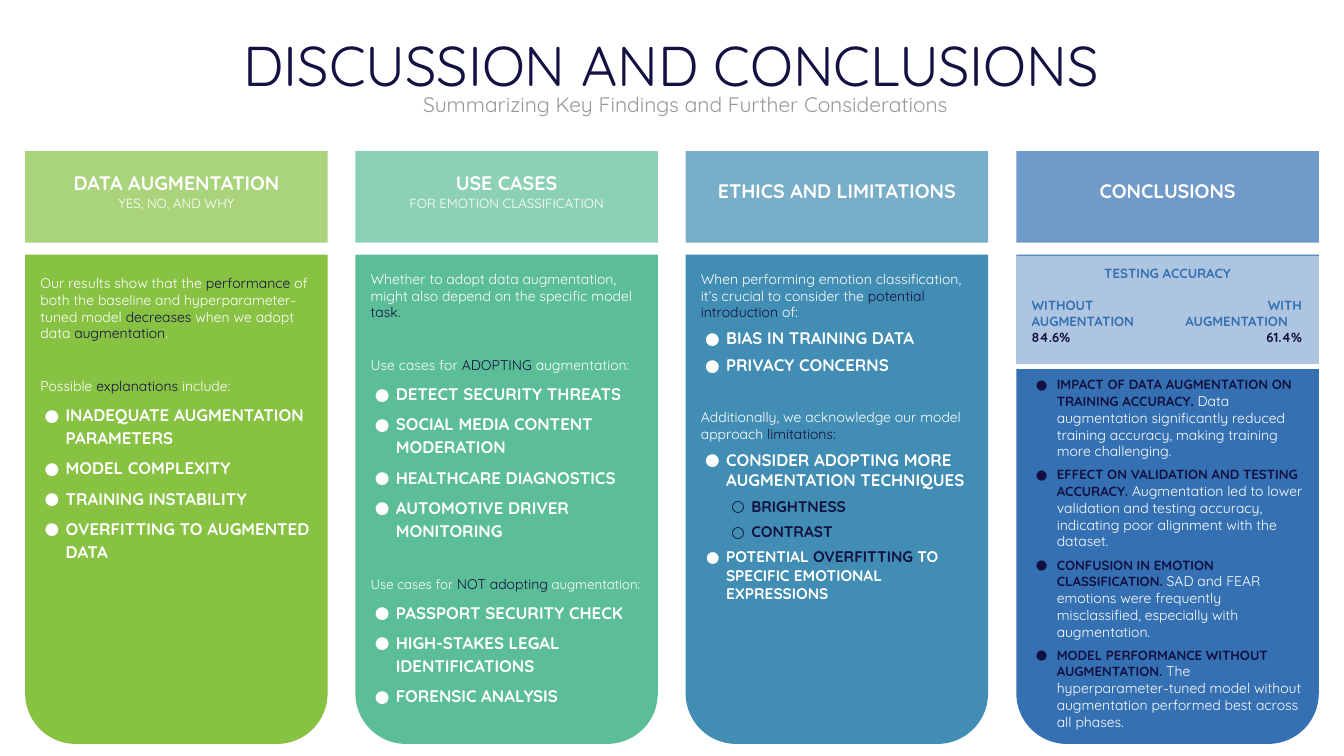
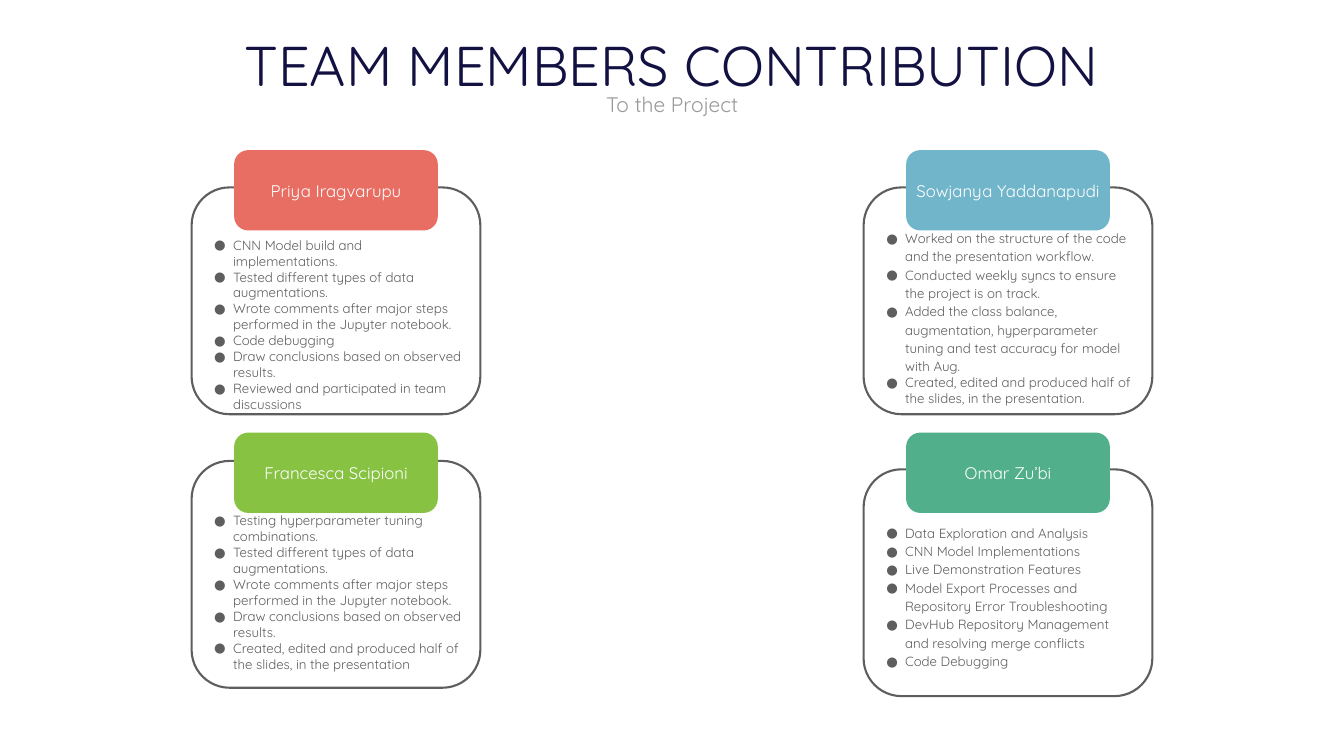
from lxml.etree import SubElement
from pptx import Presentation
from pptx.dml.color import RGBColor
from pptx.enum.shapes import MSO_CONNECTOR, MSO_SHAPE
from pptx.enum.text import MSO_ANCHOR, PP_ALIGN
from pptx.oxml.ns import qn
from pptx.util import Pt

PX = 9525
FONT = "Quicksand"
INK = {
    "navy": "121142", "gray": "999999", "slate": "5E5E5E", "white": "FFFFFF",
    "lime": "87C243", "mint": "5CBE97", "teal": "418DB3", "blue": "3470B2",
    "coral": "E86D62", "sky": "70B5CA", "green": "51B08B",
}
BASE = {"size": 20, "ink": "white", "bold": False, "alt": {"ink": "navy"},
        "lead": 1.0, "gap": 0, "align": PP_ALIGN.LEFT,
        "mark": None, "left": 48, "hang": 40, "dot": "white", "tab": 0}
MID = {"align": PP_ALIGN.CENTER}
CAPS = {"size": 24, "bold": True, "gap": 10, "mark": "●"}
SUB = {"size": 22, "bold": True, "gap": 10, "ink": "navy", "mark": "○",
       "left": 96, "hang": 38, "dot": "navy"}
RATE = {"size": 19, "bold": True, "ink": "blue"}
TASK = {"size": 19, "ink": "slate", "mark": "●", "hang": 36, "dot": "slate"}
STYLES = {
    "title": {**MID, "size": 80, "ink": "navy"},
    "tag": {**MID, "size": 30, "ink": "gray"},
    "head": {**MID, "size": 28, "bold": True},
    "small": {**MID, "size": 19},
    "name": {**MID, "size": 24},
    "intro": {},
    "turn": {"gap": 48},
    "wide": {"gap": 48, "lead": 1.15},
    "note": {"gap": 46, "lead": 1.15, "size": 19,
             "alt": {"ink": "navy", "size": 20}},
    "caps": {**CAPS, "lead": 1.15},
    "point": CAPS,
    "sub": SUB,
    "last": {**CAPS, "size": 22, "hang": 38},
    "find": {"gap": 10, "mark": "●", "dot": "navy",
             "alt": {"ink": "navy", "size": 19, "bold": True}},
    "rate": {**RATE, **MID},
    "pair": {**RATE, "gap": 23, "tab": 515},
    "pair2": {**RATE, "tab": 488},
    "value": {**RATE, "ink": "navy", "tab": 515},
    "task": TASK,
    "step": {**TASK, "lead": 1.15},
}


def block(slide, kind, box, fill=None, alpha=100, line=None, adjust=()):
    """Add a preset shape, or a text box when kind is None."""
    box = [n * PX for n in box]
    if kind is None:
        return slide.shapes.add_textbox(*box)
    shape = slide.shapes.add_shape(kind, *box)
    shape.shadow.inherit = False
    for i, size in enumerate(adjust):
        shape.adjustments[i] = size
    if fill:
        shape.fill.solid()
        shape.fill.fore_color.rgb = RGBColor.from_string(INK[fill])
        if alpha < 100:
            tint = shape.fill._xPr.find(".//" + qn("a:srgbClr"))
            SubElement(tint, qn("a:alpha"), val=str(alpha * 1000))
    else:
        shape.fill.background()
    if line:
        shape.line.color.rgb = RGBColor.from_string(INK[line])
        shape.line.width = Pt(3)
    else:
        shape.line.fill.background()
    return shape


def write(shape, paras, pad=(10, 10, 10, 10), anchor=MSO_ANCHOR.TOP):
    """Fill a shape with (style, text) pairs; bars enclose accented words."""
    frame = shape.text_frame
    look = {"word_wrap": True, "vertical_anchor": anchor}
    for side, size in zip(("left", "top", "right", "bottom"), pad):
        look["margin_" + side] = size * PX
    for key, val in look.items():
        setattr(frame, key, val)
    for n, (name, text) in enumerate(paras):
        style = {**BASE, **STYLES[name]}
        para = frame.add_paragraph() if n else frame.paragraphs[0]
        props = para._p.get_or_add_pPr()
        if style["mark"]:
            props.set("marL", str(style["left"] * PX))
            props.set("indent", str(-style["hang"] * PX))
            tone = SubElement(props, qn("a:buClr"))
            SubElement(tone, qn("a:srgbClr"), val=INK[style["dot"]])
            SubElement(props, qn("a:buFont"), typeface=FONT)
            SubElement(props, qn("a:buChar"), char=style["mark"])
        if style["tab"]:
            tabs = SubElement(props, qn("a:tabLst"))
            SubElement(tabs, qn("a:tab"), pos=str(style["tab"] * PX), algn="r")
        look = {"alignment": style["align"], "line_spacing": style["lead"],
                "space_before": Pt(style["gap"] if n else 0)}
        for key, val in look.items():
            setattr(para, key, val)
        for i, part in enumerate(text.split("|")):
            if not part:
                continue
            tone = {**style, **style["alt"]} if i % 2 else style
            run = para.add_run()
            run.text = part
            look = {"name": FONT, "size": Pt(tone["size"]), "bold": tone["bold"]}
            for key, val in look.items():
                setattr(run.font, key, val)
            run.font.color.rgb = RGBColor.from_string(INK[tone["ink"]])


deck = Presentation()
deck.slide_width, deck.slide_height = 2560 * PX, 1440 * PX

pages = []
for title, tag, left, wide in [
    ("DISCUSSION AND CONCLUSIONS",
     "Summarizing Key Findings and Further Considerations", 689, 1233),
    ("TEAM MEMBERS CONTRIBUTION", "To the Project", 820, 921),
]:
    page = deck.slides.add_slide(deck.slide_layouts[6])
    write(block(page, None, (98, 48, 2362, 149)), [("title", title)])
    write(block(page, None, (left, 164, wide, 68)), [("tag", tag)])
    pages.append(page)
talk, team = pages

# Discussion: four columns, each a header above a rounded body
columns = [
    ("lime", 494, 29, [("head", "DATA AUGMENTATION"), ("small", "YES, NO, AND WHY")], [
        ("intro", "Our results show that the |performance| of both the baseline and "
                  "hyperparameter-tuned model |decreases| when we adopt data "
                  "|augmentation|."),
        ("wide", "Possible |explanations| include:"),
        ("caps", "INADEQUATE AUGMENTATION PARAMETERS"),
        ("caps", "MODEL COMPLEXITY"),
        ("caps", "TRAINING INSTABILITY"),
        ("caps", "OVERFITTING TO AUGMENTED DATA"),
    ]),
    ("mint", 486, 29, [("head", "USE CASES"), ("small", "FOR EMOTION CLASSIFICATION")], [
        ("intro", "Whether to adopt data augmentation, might also depend on the "
                  "specific model |task.|"),
        ("wide", "Use cases for |ADOPTING| augmentation:"),
        ("caps", "DETECT SECURITY THREATS"),
        ("caps", "SOCIAL MEDIA CONTENT MODERATION"),
        ("caps", "HEALTHCARE DIAGNOSTICS"),
        ("caps", "AUTOMOTIVE DRIVER MONITORING"),
        ("note", "Use cases for |NOT adopting| augmentation:"),
        ("caps", "PASSPORT SECURITY CHECK"),
        ("caps", "HIGH-STAKES LEGAL IDENTIFICATIONS"),
        ("caps", "FORENSIC ANALYSIS"),
    ]),
    ("teal", 486, 29, [("head", "ETHICS AND LIMITATIONS")], [
        ("intro", "When performing emotion classification, it’s crucial to consider "
                  "the |potential introduction| of:"),
        ("point", "BIAS IN TRAINING DATA"),
        ("point", "PRIVACY CONCERNS"),
        ("turn", "Additionally, we acknowledge our model approach |limitations:|"),
        ("point", "CONSIDER ADOPTING MORE AUGMENTATION TECHNIQUES"),
        ("sub", "BRIGHTNESS"),
        ("sub", "CONTRAST"),
        ("last", "POTENTIAL |OVERFITTING| TO SPECIFIC EMOTIONAL EXPRESSIONS"),
    ]),
    ("blue", 698, 19, [("head", "CONCLUSIONS")], [
        ("find", "|IMPACT OF DATA AUGMENTATION ON TRAINING ACCURACY. |Data "
                 "augmentation significantly reduced training accuracy, making "
                 "training more challenging."),
        ("find", "|EFFECT ON VALIDATION AND TESTING ACCURACY. |Augmentation led to "
                 "lower validation and testing accuracy, indicating poor alignment "
                 "with the dataset."),
        ("find", "|CONFUSION IN EMOTION CLASSIFICATION. |SAD and FEAR emotions were "
                 "frequently misclassified, especially with augmentation."),
        ("find", "|MODEL PERFORMANCE WITHOUT AUGMENTATION. |The "
                 "hyperparameter-tuned model without augmentation performed best "
                 "across all phases."),
    ]),
]
for i, (ink, top, pad, head, body) in enumerate(columns):
    x = 48 + 1888 * i // 3
    cap = block(talk, MSO_SHAPE.RECTANGLE, (x, 288, 576, 174), ink, 70)
    write(cap, head, (10, 10, 10, 32), MSO_ANCHOR.MIDDLE)
    block(talk, MSO_SHAPE.ROUND_2_SAME_RECTANGLE, (x, 485, 576, 932), ink,
          adjust=(0, 0.167))
    write(block(talk, None, (x, top, 576, 1407 - top)), body, (29, pad, 29, 10))

score = block(talk, MSO_SHAPE.RECTANGLE, (1936, 487, 576, 213), "white", 60)
write(score, [
    ("rate", "TESTING ACCURACY"),
    ("pair", "WITHOUT\tWITH"),
    ("pair2", "AUGMENTATION\tAUGMENTATION"),
    ("value", "84.6%\t61.4%"),
], (29, 19, 29, 10))
rule = talk.shapes.add_connector(MSO_CONNECTOR.STRAIGHT, 1922 * PX, 698 * PX,
                                 2543 * PX, 698 * PX)
rule.line.color.rgb = RGBColor.from_string(INK["white"])
rule.line.width = Pt(6)
SubElement(rule._element.spPr, qn("a:effectLst"))

# Team: an outlined card under a coloured name tab for each member
cards = [
    ("Priya Iragvarupu", "coral", 365, 288, 357, 73, [
        ("task", "CNN Model build and implementations."),
        ("task", "Tested different types of data augmentations."),
        ("task", "Wrote comments after major steps performed in the Jupyter notebook."),
        ("task", "Code debugging"),
        ("task", "Draw conclusions based on observed results."),
        ("task", "Reviewed and participated in team discussions"),
    ]),
    ("Francesca Scipioni", "lime", 365, 826, 878, 77, [
        ("task", "Testing hyperparameter tuning combinations."),
        ("task", "Tested different types of data augmentations."),
        ("task", "Wrote comments after major steps performed in the Jupyter notebook."),
        ("task", "Draw conclusions based on observed results."),
        ("task", "Created, edited and produced half of the slides, in the presentation"),
    ]),
    ("Sowjanya Yaddanapudi", "sky", 1645, 288, 357, 56, [
        ("step", "Worked on the structure of the code and the presentation workflow."),
        ("step", "Conducted weekly syncs to ensure the project is on track."),
        ("step", "Added the class balance, augmentation, hyperparameter tuning and "
                 "test accuracy for model with Aug."),
        ("task", "Created, edited and produced half of the slides, in the presentation."),
    ]),
    ("Omar Zu’bi", "green", 1645, 826, 894, 80, [
        ("step", "Data Exploration and Analysis"),
        ("step", "CNN Model Implementations"),
        ("step", "Live Demonstration Features"),
        ("step", "Model Export Processes and Repository Error Troubleshooting"),
        ("step", "DevHub Repository Management and resolving merge conflicts"),
        ("step", "Code Debugging"),
    ]),
]
for name, ink, x, top, y, pad, tasks in cards:
    card = block(team, MSO_SHAPE.ROUNDED_RECTANGLE, (x, y, 550, 432),
                 line="slate", adjust=(0.167,))
    write(card, tasks, (10, pad, 10, 10))
    tab = block(team, MSO_SHAPE.ROUNDED_RECTANGLE, (x + 83, top, 384, 149), ink,
                line=ink, adjust=(0.167,))
    write(tab, [("name", name)], anchor=MSO_ANCHOR.MIDDLE)

deck.save("out.pptx")
